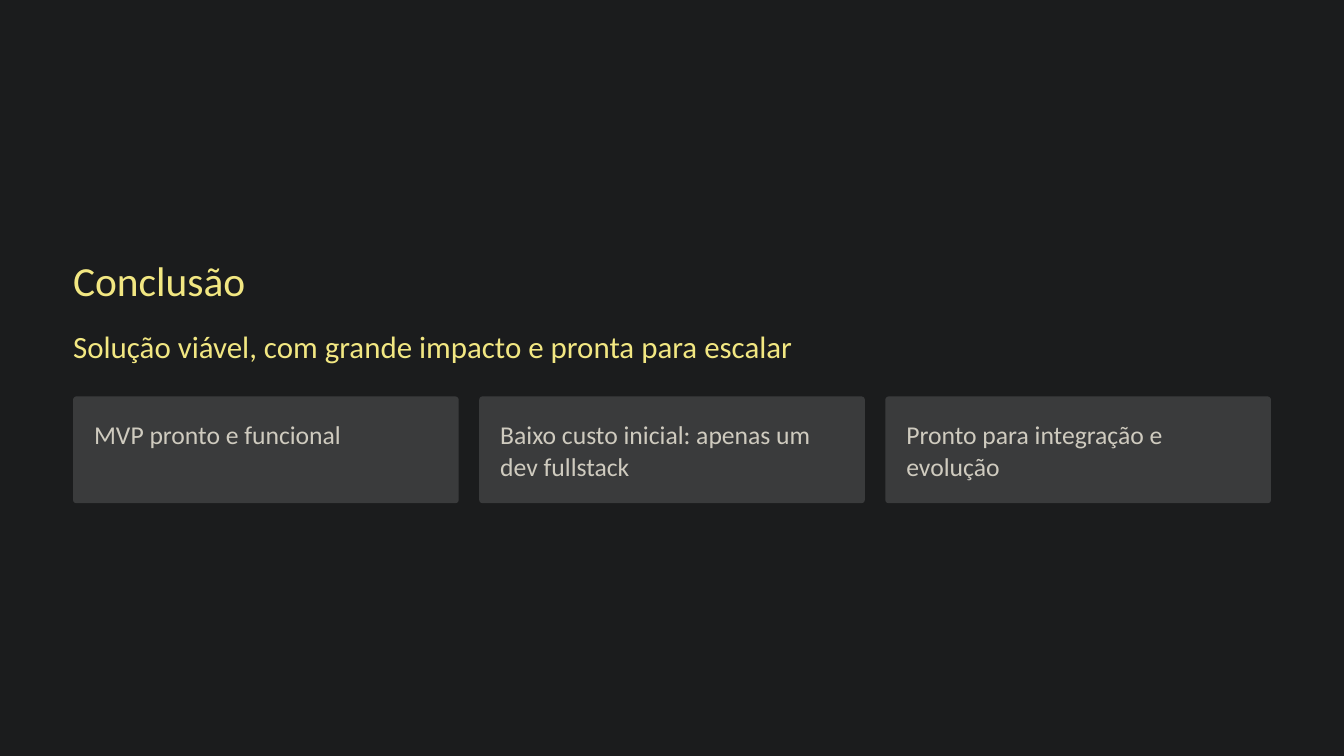
from pptx import Presentation
from pptx.dml.color import RGBColor
from pptx.enum.shapes import MSO_SHAPE as Shape
from pptx.enum.text import MSO_ANCHOR as Anchor, MSO_AUTO_SIZE as AutoSize, PP_ALIGN as Align
from pptx.util import Inches, Pt

BACKGROUND = RGBColor(0x1B, 0x1C, 0x1D)
CARD_FILL = RGBColor(0x3A, 0x3B, 0x3C)
YELLOW = RGBColor(0xF2, 0xE7, 0x82)
SAND = RGBColor(0xCF, 0xCB, 0xBF)
FONT = "Calibri"

LEFT = 0.87
CARD_TOP = 4.72
CARD_WIDTH = 4.59
CARD_HEIGHT = 1.27
CARD_STEP = 4.835
PADDING = 0.25
CARDS = [
    "MVP pronto e funcional",
    "Baixo custo inicial: apenas um dev fullstack",
    "Pronto para integração e evolução",
]


def write_text(box, text, size, line_height, color):
    frame = box.text_frame
    frame.margin_left = frame.margin_right = Inches(0)
    frame.margin_top = frame.margin_bottom = Inches(0)
    frame.auto_size = AutoSize.NONE
    frame.vertical_anchor = Anchor.TOP
    frame.word_wrap = True
    para = frame.paragraphs[0]
    para.alignment = Align.LEFT
    para.line_spacing = Pt(line_height)
    para.space_before = Pt(0)
    span = para.add_run()
    span.text = text
    span.font.name = FONT
    span.font.size = Pt(size)
    span.font.color.rgb = color


def place_title(page, text):
    title = page.shapes.title
    title.left, title.top = Inches(LEFT), Inches(3.01)
    title.width, title.height = Inches(4.96), Inches(0.62)
    write_text(title, text, 35.5, 44.5, YELLOW)


def add_text(page, left, top, width, height, text, size, line_height, color):
    box = page.shapes.add_textbox(Inches(left), Inches(top), Inches(width), Inches(height))
    write_text(box, text, size, line_height, color)


def add_card(page, left, text):
    card = page.shapes.add_shape(
        Shape.ROUNDED_RECTANGLE,
        Inches(left), Inches(CARD_TOP), Inches(CARD_WIDTH), Inches(CARD_HEIGHT),
    )
    card.adjustments[0] = 0.03
    card.shadow.inherit = False
    card.fill.solid()
    card.fill.fore_color.rgb = CARD_FILL
    card.line.fill.background()
    add_text(page, left + PADDING, CARD_TOP + PADDING, CARD_WIDTH - 2 * PADDING, 0.78,
             text, 22, 27.5, SAND)


def main():
    deck = Presentation()
    deck.slide_width, deck.slide_height = Inches(16), Inches(9)
    page = deck.slides.add_slide(deck.slide_layouts.get_by_name("Title Only"))
    page.background.fill.solid()
    page.background.fill.fore_color.rgb = BACKGROUND
    place_title(page, "Conclusão")
    add_text(page, LEFT, 3.88, 10.25, 0.47,
             "Solução viável, com grande impacto e pronta para escalar", 26.5, 33, YELLOW)
    for index, text in enumerate(CARDS):
        add_card(page, LEFT + index * CARD_STEP, text)
    deck.save("out.pptx")


if __name__ == "__main__":
    main()
